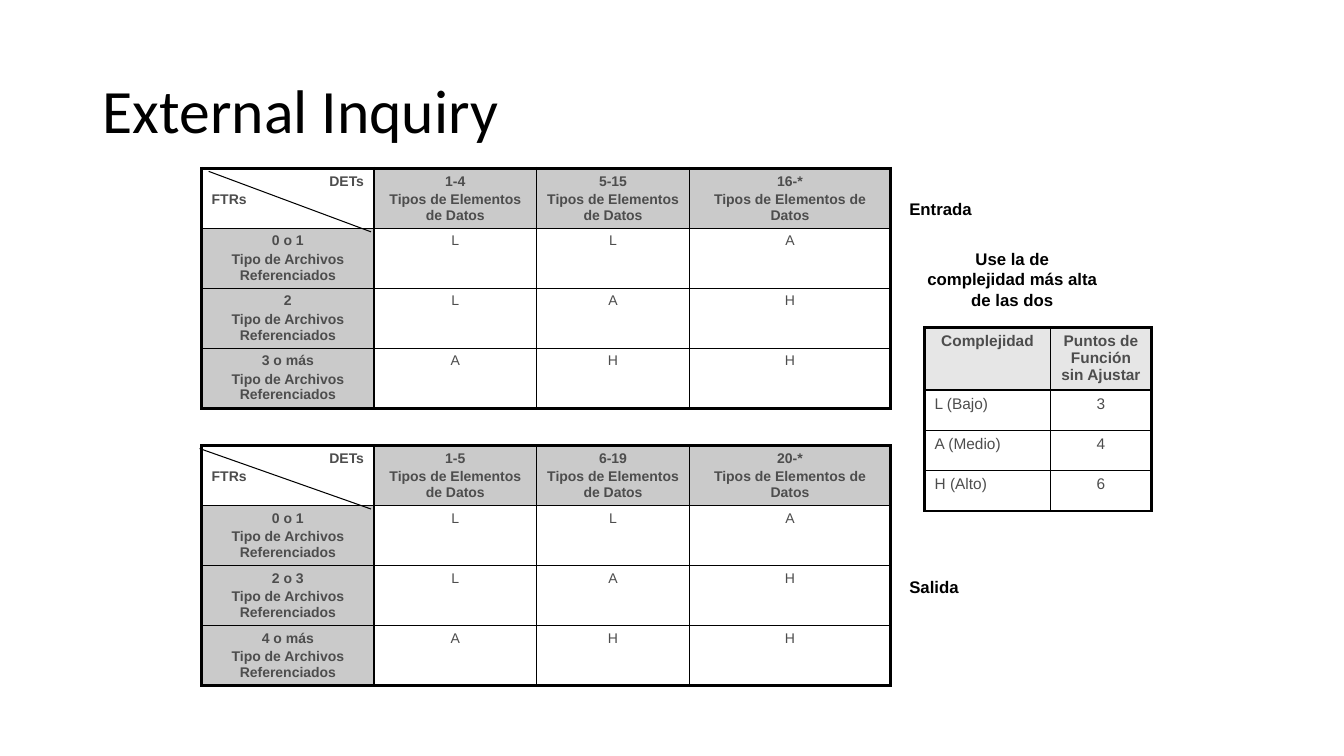
"""Build the External Inquiry slide with its complexity tables."""
from pptx import Presentation, util as u
from pptx.dml.color import RGBColor
from pptx.enum import shapes, text
from lxml import etree

INK = {"black": "000000", "text": "4D4D4D", "head": "CACACA", "pale": "E6E6E6"}
NS = "http://schemas.openxmlformats.org/drawingml/2006/main"
LEFT, MID, RIGHT = text.PP_ALIGN.LEFT, text.PP_ALIGN.CENTER, text.PP_ALIGN.RIGHT
THIN, THICK = 1, 2.25

deck = Presentation()
deck.slide_width, deck.slide_height = u.Inches(13.33), u.Inches(7.5)
slide = deck.slides.add_slide(deck.slide_layouts[5])


def write(frame, lines, size, color, bold, aligns, font="Arial"):
    """Fill a text frame, one paragraph per line."""
    frame.text = "\n".join(lines)
    for i, para in enumerate(frame.paragraphs):
        para.alignment = aligns[i % len(aligns)]
        if i:
            para.space_before = u.Pt(2)
        para.font.name, para.font.size, para.font.bold = font, u.Pt(size), bold
        para.font.color.rgb = RGBColor.from_string(INK[color])


def grid(left, top, cols, rows, data, size, style):
    """Draw a table with a thick frame; style gives fill, bold and aligns."""
    box = slide.shapes.add_table(len(rows), len(cols), u.Inches(left), u.Inches(top),
                                 u.Inches(sum(cols)), u.Inches(sum(rows)))
    table = box.table
    table.first_row = table.horz_banding = False
    for col, wide in zip(table.columns, cols):
        col.width = u.Inches(wide)
    for row, high in zip(table.rows, rows):
        row.height = u.Inches(high)
    for r, line in enumerate(data):
        for c, lines in enumerate(line):
            cell = table.cell(r, c)
            fill, bold, aligns = style(r, c)
            write(cell.text_frame, lines, size, "text", bold, aligns)
            edges = {"L": c == 0, "R": c == len(cols) - 1,
                     "T": r == 0, "B": r == len(rows) - 1}
            for side, outer in edges.items():
                edge = etree.SubElement(cell._tc.get_or_add_tcPr(), f"{{{NS}}}ln{side}",
                                        w=str(u.Pt(THICK if outer else THIN)))
                solid = etree.SubElement(edge, f"{{{NS}}}solidFill")
                etree.SubElement(solid, f"{{{NS}}}srgbClr", val=INK["black"])
            if fill:
                cell.fill.solid()
                cell.fill.fore_color.rgb = RGBColor.from_string(INK[fill])
            else:
                cell.fill.background()


title = slide.shapes.title
title.left, title.top, title.width, title.height = map(u.Inches, (0.92, 0.4, 11.5, 1.45))
write(title.text_frame, ["External Inquiry"], 44, "black", False, [LEFT], "Calibri")
title.text_frame.vertical_anchor = text.MSO_ANCHOR.MIDDLE
title.text_frame.paragraphs[0].line_spacing = 0.9

levels = ["LLA", "LAH", "AHH"]
ranks = [
    (1.67, 2.07, ["1-4", "5-15", "16-*"], ["0 o 1", "2", "3 o más"]),
    (4.42, 1.98, ["1-5", "6-19", "20-*"], ["0 o 1", "2 o 3", "4 o más"]),
]
for top, start, dets, ftrs in ranks:
    data = [[["DETs", "FTRs"]] + [[det, "Tipos de Elementos de Datos"] for det in dets]]
    data += [[[ftr, "Tipo de Archivos Referenciados"], *level]
             for ftr, level in zip(ftrs, levels)]
    grid(2, top, [1.71, 1.61, 1.52, 1.99], [0.595] * 4, data, 10,
         lambda r, c: ("head" if (r == 0) != (c == 0) else None, r == 0 or c == 0,
                       [MID] if r or c else [RIGHT, LEFT]))
    slash = slide.shapes.add_connector(shapes.MSO_CONNECTOR.STRAIGHT, *map(
        u.Inches, (start, top + 0.03, 3.68, top + 0.63)))
    slash.line.width = u.Pt(0.75)
    slash.line.color.rgb = RGBColor.from_string(INK["black"])
    etree.SubElement(slash._element.spPr, f"{{{NS}}}effectLst")

points = [[["Complejidad"], ["Puntos de Función sin Ajustar"]],
          [["L (Bajo)"], ["3"]], [["A (Medio)"], ["4"]], [["H (Alto)"], ["6"]]]
grid(9.17, 3.25, [1.25, 1], [0.62] + [0.4] * 3, points, 11,
     lambda r, c: (None if r else "pale", r == 0, [LEFT if r and not c else MID]))

notes = [
    ("Entrada", 8.92, 1.92, 1.83, 0.3, LEFT),
    ("Salida", 8.92, 5.67, 1.83, 0.3, LEFT),
    ("Use la de complejidad más alta de las dos", 9.08, 2.42, 1.92, 0.71, MID),
]
for words, *place, align in notes:
    frame = slide.shapes.add_textbox(*map(u.Inches, place)).text_frame
    frame.word_wrap = True
    write(frame, [words], 12, "black", True, [align])

deck.save("out.pptx")
